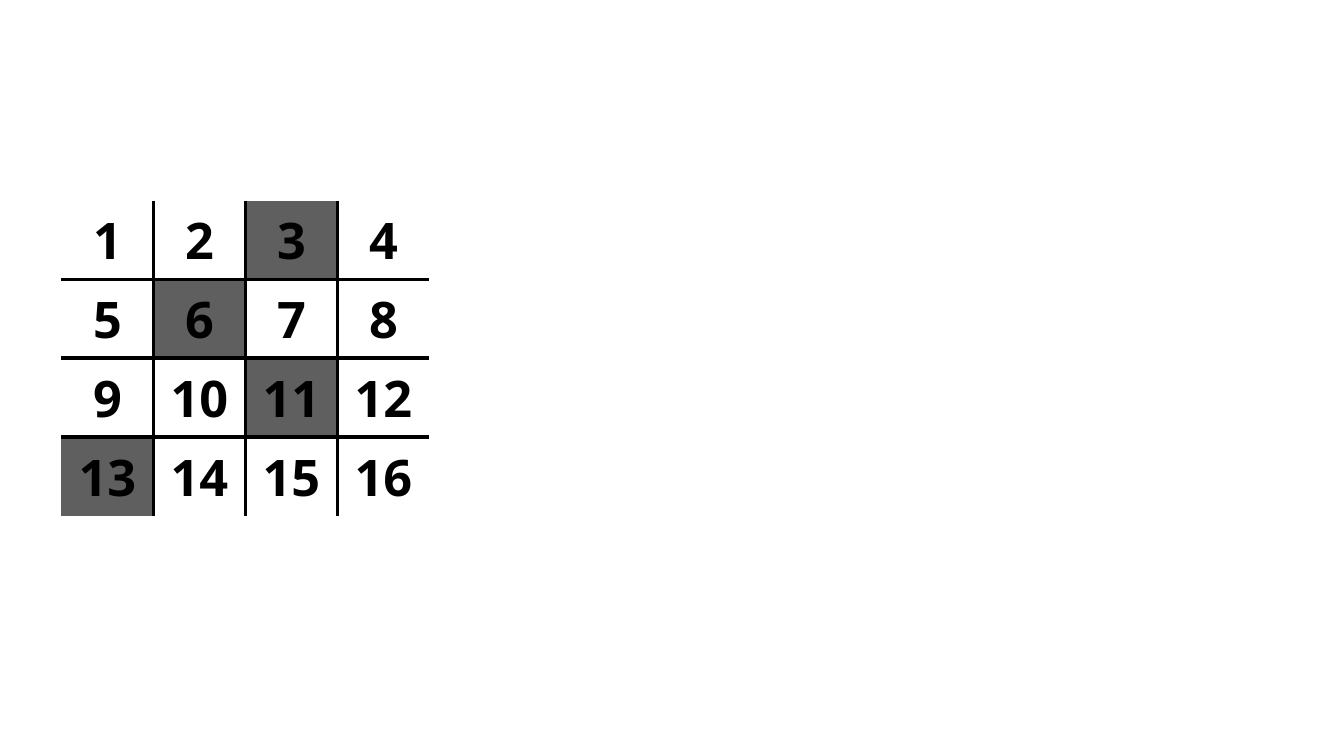
"""Build a slide with a four by four number grid and its shaded cells."""
import dataclasses

import lxml.etree
import pptx
import pptx.dml.color
import pptx.enum.text
import pptx.oxml.ns
import pptx.util


@dataclasses.dataclass(frozen=True)
class Theme:
    """Colours, font and sizes of the slide."""
    ink: str = "000000"
    shade: str = "5F5F5F"
    font: str = "Open Sans"
    size: int = 36
    rule: int = 3


THEME = Theme()
WIDE, HIGH = 13.33, 7.5
SIDE = 4
LEFT, TOP = 0.61, 1.99
SPAN, DEPTH = 3.65, 2.8
SHADED = {3, 6, 11, 13}


def color(code):
    """Turn a hex code into a colour."""
    return pptx.dml.color.RGBColor.from_string(code)


def add_edge(cell, name, shown):
    """Draw one cell border, or clear it."""
    make = lxml.etree.SubElement
    tag = pptx.oxml.ns.qn
    width = pptx.util.Pt(THEME.rule)
    line = make(cell._tc.get_or_add_tcPr(), tag("a:ln" + name), w=str(width))
    if shown:
        fill = make(line, tag("a:solidFill"))
        make(fill, tag("a:srgbClr"), val=THEME.ink)
    else:
        make(line, tag("a:noFill"))


def fill_cell(cell, row, col):
    """Set the number, inner borders and shade of one cell."""
    number = row * SIDE + col + 1
    last = SIDE - 1
    edges = {"L": col > 0, "R": col < last, "T": row > 0, "B": row < last}
    for name, shown in edges.items():
        add_edge(cell, name, shown)
    if number in SHADED:
        cell.fill.solid()
        cell.fill.fore_color.rgb = color(THEME.shade)
    else:
        cell.fill.background()
    cell.vertical_anchor = pptx.enum.text.MSO_ANCHOR.MIDDLE
    para = cell.text_frame.paragraphs[0]
    para.alignment = pptx.enum.text.PP_ALIGN.CENTER
    run = para.add_run()
    run.text = str(number)
    run.font.name = THEME.font
    run.font.size = pptx.util.Pt(THEME.size)
    run.font.bold = True
    run.font.color.rgb = color(THEME.ink)


def add_grid(slide):
    """Add the number grid as a table."""
    box = map(pptx.util.Inches, (LEFT, TOP, SPAN, DEPTH))
    table = slide.shapes.add_table(SIDE, SIDE, *box).table
    table.first_row = False
    table.horz_banding = False
    for row in range(SIDE):
        for col in range(SIDE):
            fill_cell(table.cell(row, col), row, col)


def main():
    """Build and save the slide."""
    deck = pptx.Presentation()
    deck.slide_width = pptx.util.Inches(WIDE)
    deck.slide_height = pptx.util.Inches(HIGH)
    slide = deck.slides.add_slide(deck.slide_layouts[6])
    add_grid(slide)
    deck.save("out.pptx")


main()
